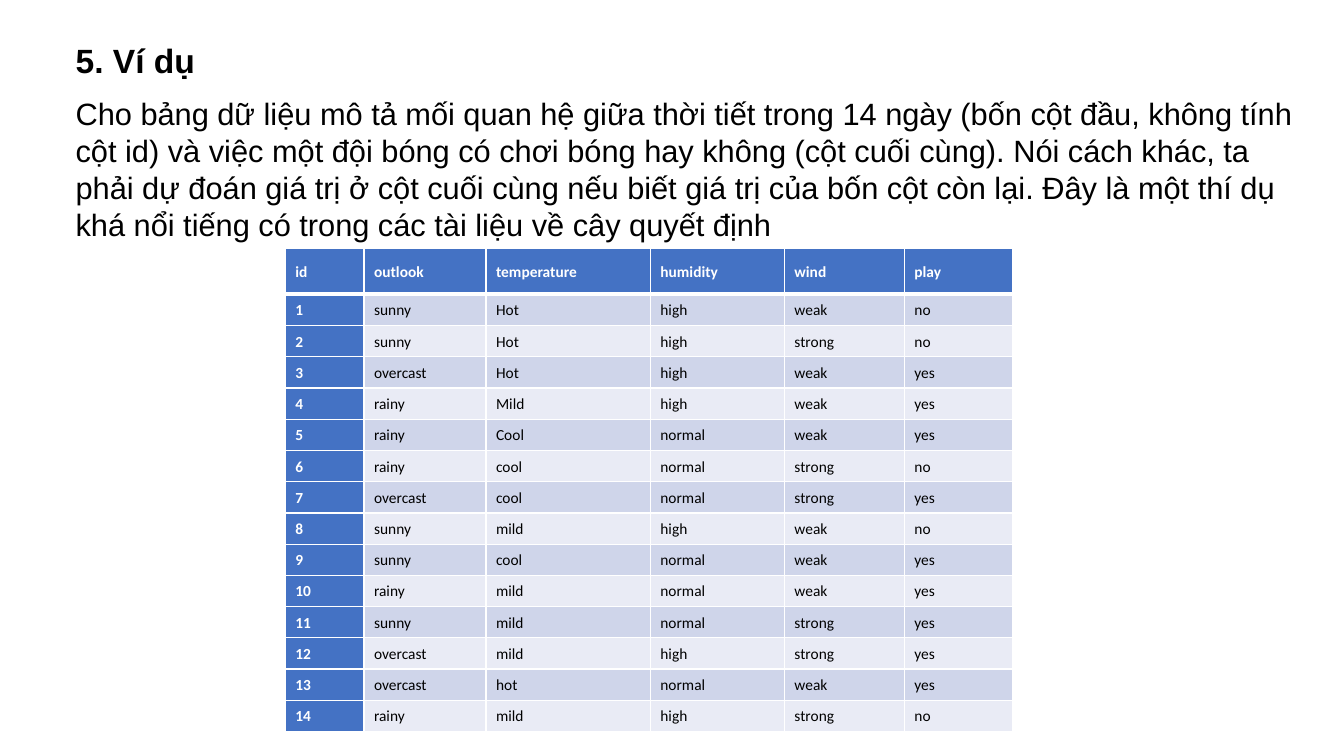
from lxml.etree import SubElement
from pptx import Presentation
from pptx.dml.color import RGBColor
from pptx.enum.text import MSO_ANCHOR, MSO_AUTO_SIZE, PP_ALIGN
from pptx.oxml.ns import qn
from pptx.util import Inches, Pt

BLUE, WHITE, BLACK = "4472C4", "FFFFFF", "000000"
BANDS = ("CFD5EA", "E9EBF5")
COLUMN_WIDTHS = (0.78, 1.21, 1.63, 1.33, 1.19, 1.07)
HEADER_HEIGHT, ROW_HEIGHT = 0.46, 0.31
WEATHER = """id outlook temperature humidity wind play
1 sunny Hot high weak no
2 sunny Hot high strong no
3 overcast Hot high weak yes
4 rainy Mild high weak yes
5 rainy Cool normal weak yes
6 rainy cool normal strong no
7 overcast cool normal strong yes
8 sunny mild high weak no
9 sunny cool normal weak yes
10 rainy mild normal weak yes
11 sunny mild normal strong yes
12 overcast mild high strong yes
13 overcast hot normal weak yes
14 rainy mild high strong no"""
PARAGRAPHS = (
    ("5. Ví dụ", 24, True),
    ("Cho bảng dữ liệu mô tả mối quan hệ giữa thời tiết trong 14 ngày "
     "(bốn cột đầu, không tính cột id) và việc một đội bóng có chơi bóng hay không "
     "(cột cuối cùng). Nói cách khác, ta phải dự đoán giá trị ở cột cuối cùng nếu "
     "biết giá trị của bốn cột còn lại. Đây là một thí dụ khá nổi tiếng có trong "
     "các tài liệu về cây quyết định", 22, False),
)


def style_font(font, name, size, color, bold):
    font.name, font.size, font.bold = name, Pt(size), bold
    font.color.rgb = RGBColor.from_string(color)


def add_borders(cell, widths):
    """Draw white borders; widths in points run left, right, top, bottom."""
    properties = cell._tc.get_or_add_tcPr()
    for side, width in zip("LRTB", widths):
        line = SubElement(properties, qn(f"a:ln{side}"), w=str(Pt(width)))
        fill = SubElement(line, qn("a:solidFill"))
        SubElement(fill, qn("a:srgbClr"), val=WHITE)


deck = Presentation()
deck.slide_width, deck.slide_height = Inches(13.33), Inches(7.5)
slide = deck.slides.add_slide(deck.slide_layouts[1])
title = slide.shapes.title._element
title.getparent().remove(title)

body = slide.placeholders[1]
body.left, body.top = Inches(0.65), Inches(0.35)
body.width, body.height = Inches(12.41), Inches(6.91)
frame = body.text_frame
frame.word_wrap = True
frame.auto_size = MSO_AUTO_SIZE.NONE
frame.vertical_anchor = MSO_ANCHOR.TOP
for index, (text, size, bold) in enumerate(PARAGRAPHS):
    para = frame.add_paragraph() if index else frame.paragraphs[0]
    para.text = text
    para.alignment = PP_ALIGN.LEFT
    para.line_spacing = 1.0
    para.space_before = Pt(10)
    style_font(para.font, "Arial", size, BLACK, bold)
    properties = para._p.get_or_add_pPr()
    properties.set("marL", "0")
    properties.set("indent", "0")
    bullet = SubElement(properties, qn("a:buNone"))
    properties.find(qn("a:defRPr")).addprevious(bullet)

rows = [line.split() for line in WEATHER.splitlines()]
table_height = HEADER_HEIGHT + ROW_HEIGHT * (len(rows) - 1)
table = slide.shapes.add_table(
    len(rows), len(COLUMN_WIDTHS), Inches(2.83), Inches(2.46),
    Inches(sum(COLUMN_WIDTHS)), Inches(table_height)).table
table.first_col = True
for column, width in zip(table.columns, COLUMN_WIDTHS):
    column.width = Inches(width)
for row_index, values in enumerate(rows):
    table.rows[row_index].height = Inches(ROW_HEIGHT if row_index else HEADER_HEIGHT)
    for column_index, value in enumerate(values):
        is_header = row_index == 0 or column_index == 0
        cell = table.cell(row_index, column_index)
        cell.vertical_anchor = MSO_ANCHOR.MIDDLE
        cell.margin_left = Inches(0.1)
        cell.margin_right = cell.margin_top = cell.margin_bottom = 0
        add_borders(cell, (1, 1, 3 if row_index == 1 else 1, 3 if row_index == 0 else 1))
        cell.fill.solid()
        fill_color = BLUE if is_header else BANDS[(row_index - 1) % 2]
        cell.fill.fore_color.rgb = RGBColor.from_string(fill_color)
        para = cell.text_frame.paragraphs[0]
        para.text = value
        para.alignment = PP_ALIGN.JUSTIFY
        para.line_spacing = 1.07
        para.space_before = Pt(6)
        style_font(para.font, "Calibri", 11, WHITE if is_header else BLACK, is_header)

deck.save("out.pptx")
